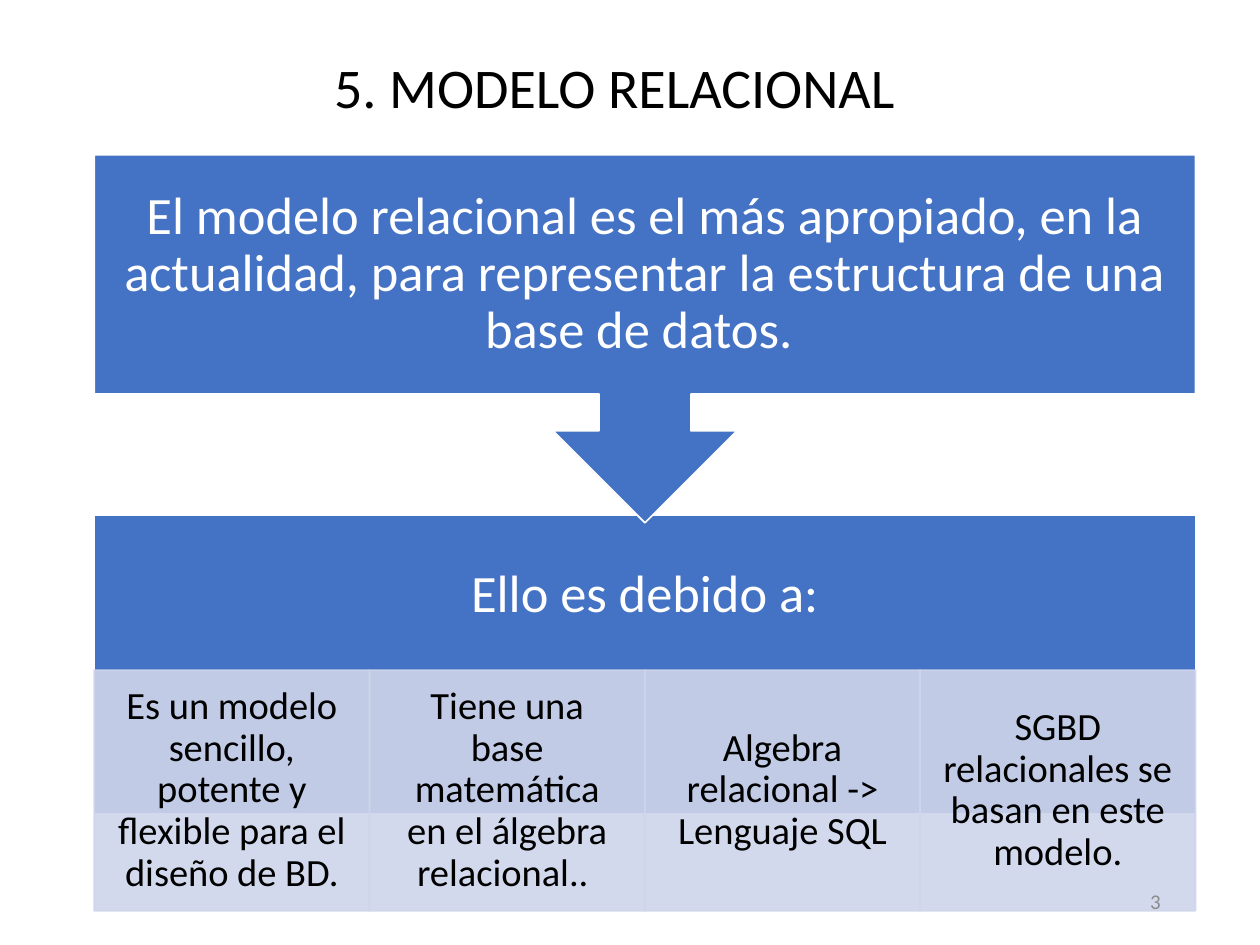
"""Build the slide on the relational model."""
from lxml.etree import SubElement
from pptx import Presentation
from pptx.dml.color import RGBColor
from pptx.enum.shapes import MSO_SHAPE
from pptx.enum.text import MSO_ANCHOR, PP_ALIGN
from pptx.oxml.ns import qn
from pptx.util import Cm, Pt


def paint(color, tone):
    color.rgb = RGBColor.from_string(tone)


class Deck:
    style = {"blue": "4472C4", "pale": "CFD5EA", "white": "FFFFFF",
             "black": "000000", "gray": "8C8C8C", "font": "Calibri"}

    def __init__(self, wide, high):
        self.file = Presentation()
        self.file.slide_width, self.file.slide_height = Cm(wide), Cm(high)
        self.slide = self.file.slides.add_slide(self.file.slide_layouts[6])

    def shape(self, kind, area, fill, edge, alpha=None, turn=0):
        item = self.slide.shapes.add_shape(kind, *map(Cm, area))
        item.shadow.inherit = False
        item.rotation = turn
        item.line.width = Pt(1)
        for part, tone in ((item.fill, fill), (item.line.fill, edge)):
            part.solid()
            paint(part.fore_color, self.style[tone])
        if alpha:
            for node in list(item._element.spPr.iter(qn("a:srgbClr"))):
                SubElement(node, qn("a:alpha"), val=str(alpha * 1000))
        return item

    def box(self, area):
        return self.slide.shapes.add_textbox(*map(Cm, area))

    def label(self, item, text, size, tone, pad=(0.25, 0.13),
              anchor=MSO_ANCHOR.MIDDLE, align=PP_ALIGN.CENTER, space=0.9):
        frame = item.text_frame
        para = frame.paragraphs[0]
        run = para.add_run()
        font = run.font
        side, edge = map(Cm, pad)
        form = (
            (frame, {"word_wrap": True, "vertical_anchor": anchor,
                     "margin_left": side, "margin_right": side,
                     "margin_top": edge, "margin_bottom": edge}),
            (para, {"alignment": align, "line_spacing": space}),
            (run, {"text": text}),
            (font, {"name": self.style["font"], "size": Pt(size)}),
        )
        for part, values in form:
            for name, value in values.items():
                setattr(part, name, value)
        paint(font.color, self.style[tone])


def main():
    deck = Deck(25.4, 19.05)
    left, wide = 1.9, 22.2
    pad = (0.58, 0.58)
    causes = (
        "Es un modelo sencillo, potente y flexible para el diseño de BD.",
        "Tiene una base matemática en el álgebra relacional.. ",
        "Algebra relacional -> Lenguaje SQL",
        "SGBD relacionales se basan en este modelo.",
    )

    title = deck.box((4.39, 0, 16, 2.57))
    deck.label(title, "5. MODELO RELACIONAL", 32, "black",
               anchor=MSO_ANCHOR.BOTTOM)

    deck.shape(MSO_SHAPE.RECTANGLE, (left, 10.39, wide, 6.02), "blue", "white")
    deck.label(deck.box((left, 10.39, wide, 3.25)), "Ello es debido a:",
               30, "white", pad)

    step = wide / len(causes)
    for col, cause in enumerate(causes):
        cell = deck.shape(MSO_SHAPE.RECTANGLE,
                          (left + col * step, 13.51, step, 4.85),
                          "pale", "pale", alpha=90)
        deck.label(cell, cause, 22, "black", (0.43, 0.08))

    deck.shape(MSO_SHAPE.UP_ARROW_CALLOUT, (left, 3.12, wide, 7.42),
               "blue", "white", turn=180)
    deck.label(deck.box((left, 3.12, wide, 4.83)),
               "El modelo relacional es el más apropiado, en la actualidad, "
               "para representar la estructura de una base de datos. ",
               30, "white", pad)

    page = deck.box((17.93, 17.65, 5.72, 1.02))
    deck.label(page, "3", 12, "gray", align=PP_ALIGN.RIGHT, space=1.0)
    deck.file.save("out.pptx")


if __name__ == "__main__":
    main()
